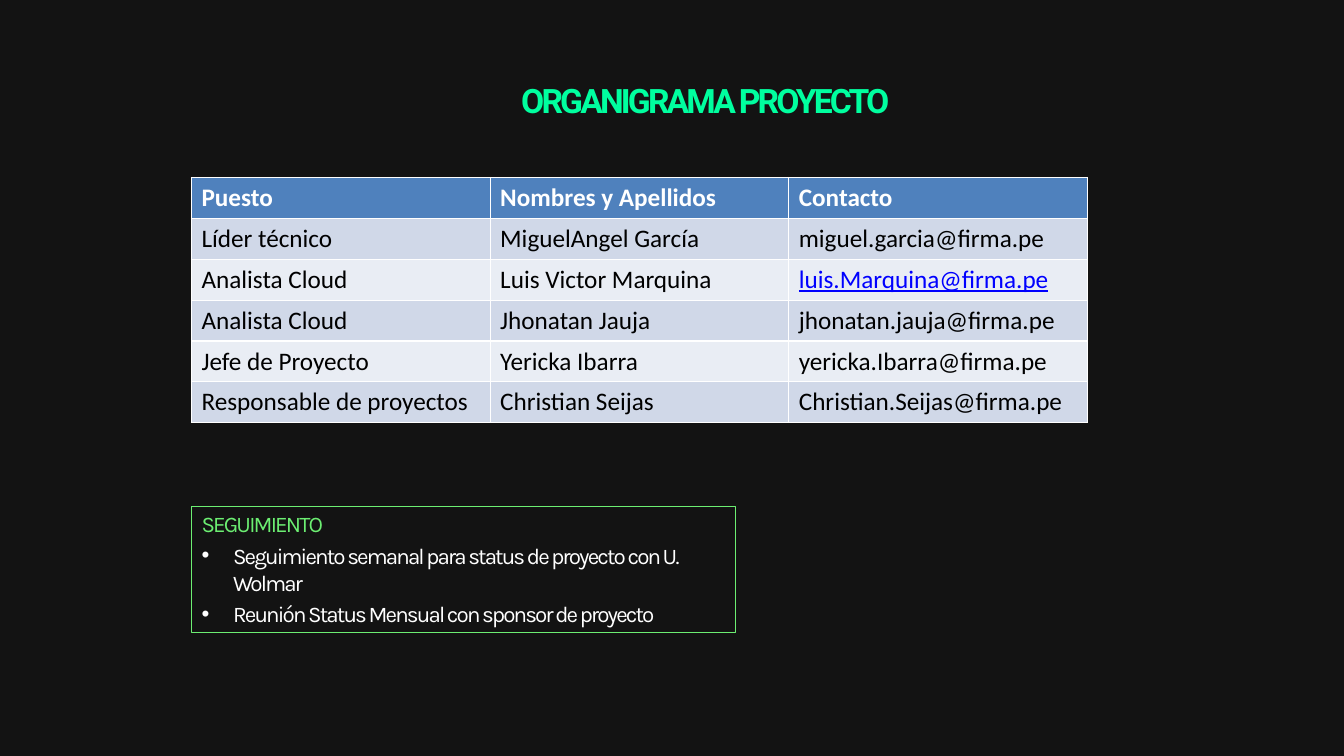
from lxml.etree import SubElement
from pptx import Presentation
from pptx.dml.color import RGBColor
from pptx.enum.shapes import MSO_SHAPE
from pptx.enum.text import MSO_ANCHOR, PP_ALIGN
from pptx.oxml.ns import qn
from pptx.util import Pt

NIGHT = RGBColor(0x13, 0x13, 0x13)
MINT = RGBColor(0x00, 0xFF, 0x9F)
GREEN = RGBColor(0x6C, 0xEE, 0x72)
WHITE = RGBColor(0xFF, 0xFF, 0xFF)
BLACK = RGBColor(0x00, 0x00, 0x00)
LINK_BLUE = RGBColor(0x00, 0x00, 0xFF)
HEADER_BLUE = RGBColor(0x4F, 0x81, 0xBD)
BANDS = (RGBColor(0xE9, 0xED, 0xF4), RGBColor(0xD0, 0xD8, 0xE8))

LEFT = 136.8
TEAM = (
    ("Puesto", "Nombres y Apellidos", "Contacto"),
    ("Líder técnico", "MiguelAngel García", "miguel.garcia@firma.pe"),
    ("Analista Cloud", "Luis Victor Marquina", "luis.Marquina@firma.pe"),
    ("Analista Cloud", "Jhonatan Jauja", "jhonatan.jauja@firma.pe"),
    ("Jefe de Proyecto", "Yericka Ibarra", "yericka.Ibarra@firma.pe"),
    ("Responsable de proyectos", "Christian Seijas", "Christian.Seijas@firma.pe"),
)
UNDERLINED_CONTACT = "luis.Marquina@firma.pe"
FOLLOW_UPS = (
    "Seguimiento semanal para status de proyecto con U. Wolmar",
    "Reunión Status Mensual con sponsor de proyecto",
)


def add_run(paragraph, text, font_name, size, color, bold=False, spacing=0):
    """Add a styled run, with letter spacing in points, and return it."""
    run = paragraph.add_run()
    run.text = text
    run.font.name = font_name
    run.font.size = Pt(size)
    run.font.bold = bold
    run.font.color.rgb = color
    if spacing:
        run.font._element.set("spc", str(round(spacing * 100)))
    return run


def indent(paragraph, margin, first_line=0, bullet=None):
    """Set the paragraph's margin and first line in points, and its bullet."""
    properties = paragraph._p.get_or_add_pPr()
    properties.set("marL", str(Pt(margin)))
    properties.set("indent", str(Pt(first_line)))
    if bullet:
        SubElement(properties, qn("a:buFont"), typeface="Arial")
        SubElement(properties, qn("a:buChar"), char=bullet)


def prepare_frame(frame, top_inset):
    """Make a wrapping, top-anchored frame with only a top inset."""
    frame.word_wrap = True
    frame.vertical_anchor = MSO_ANCHOR.TOP
    frame.margin_left = frame.margin_right = frame.margin_bottom = 0
    frame.margin_top = Pt(top_inset)


def add_title(slide, text):
    """Add the slide heading."""
    heading = slide.shapes.add_textbox(Pt(185.8), Pt(48.2), Pt(527.8), Pt(37.4))
    prepare_frame(heading.text_frame, 8.6)
    paragraph = heading.text_frame.paragraphs[0]
    paragraph.space_before = Pt(1)
    indent(paragraph, 186.5)
    add_run(paragraph, text, "Roboto", 24, MINT, bold=True, spacing=-2)


def add_team_table(slide, rows):
    """Add the table of roles, names and contacts."""
    team = slide.shapes.add_table(
        len(rows), len(rows[0]), Pt(LEFT), Pt(126.8), Pt(640), Pt(175.2)
    ).table
    for row_index, row in enumerate(rows):
        is_header = row_index == 0
        for column_index, text in enumerate(row):
            cell = team.cell(row_index, column_index)
            cell.fill.solid()
            cell.fill.fore_color.rgb = HEADER_BLUE if is_header else BANDS[row_index % 2]
            is_link = text == UNDERLINED_CONTACT
            color = WHITE if is_header else LINK_BLUE if is_link else BLACK
            paragraph = cell.text_frame.paragraphs[0]
            run = add_run(paragraph, text, "Calibri", 18, color, bold=is_header)
            run.font.underline = is_link


def add_follow_up_box(slide, heading, items):
    """Add the outlined box with a heading and bulleted items."""
    box = slide.shapes.add_shape(
        MSO_SHAPE.RECTANGLE, Pt(LEFT), Pt(361.6), Pt(388.8), Pt(90)
    )
    box.shadow.inherit = False
    box.fill.background()
    box.line.color.rgb = GREEN
    box.line.width = Pt(0.72)
    frame = box.text_frame
    prepare_frame(frame, 3)
    for index, text in enumerate((heading, *items)):
        paragraph = frame.add_paragraph() if index else frame.paragraphs[0]
        paragraph.alignment = PP_ALIGN.LEFT
        paragraph.space_before = Pt(3.2)
        if index:
            indent(paragraph, 29.7, -22.5, "•")
        else:
            indent(paragraph, 7.2)
        add_run(paragraph, text, "Karla", 16, WHITE if index else GREEN, spacing=-1.3)


def main():
    """Build and save the project team slide."""
    presentation = Presentation()
    presentation.slide_width = Pt(960)
    presentation.slide_height = Pt(540)
    slide = presentation.slides.add_slide(presentation.slide_layouts[6])
    slide.background.fill.solid()
    slide.background.fill.fore_color.rgb = NIGHT
    add_title(slide, "ORGANIGRAMA PROYECTO")
    add_team_table(slide, TEAM)
    add_follow_up_box(slide, "SEGUIMIENTO", FOLLOW_UPS)
    presentation.save("out.pptx")


if __name__ == "__main__":
    main()
